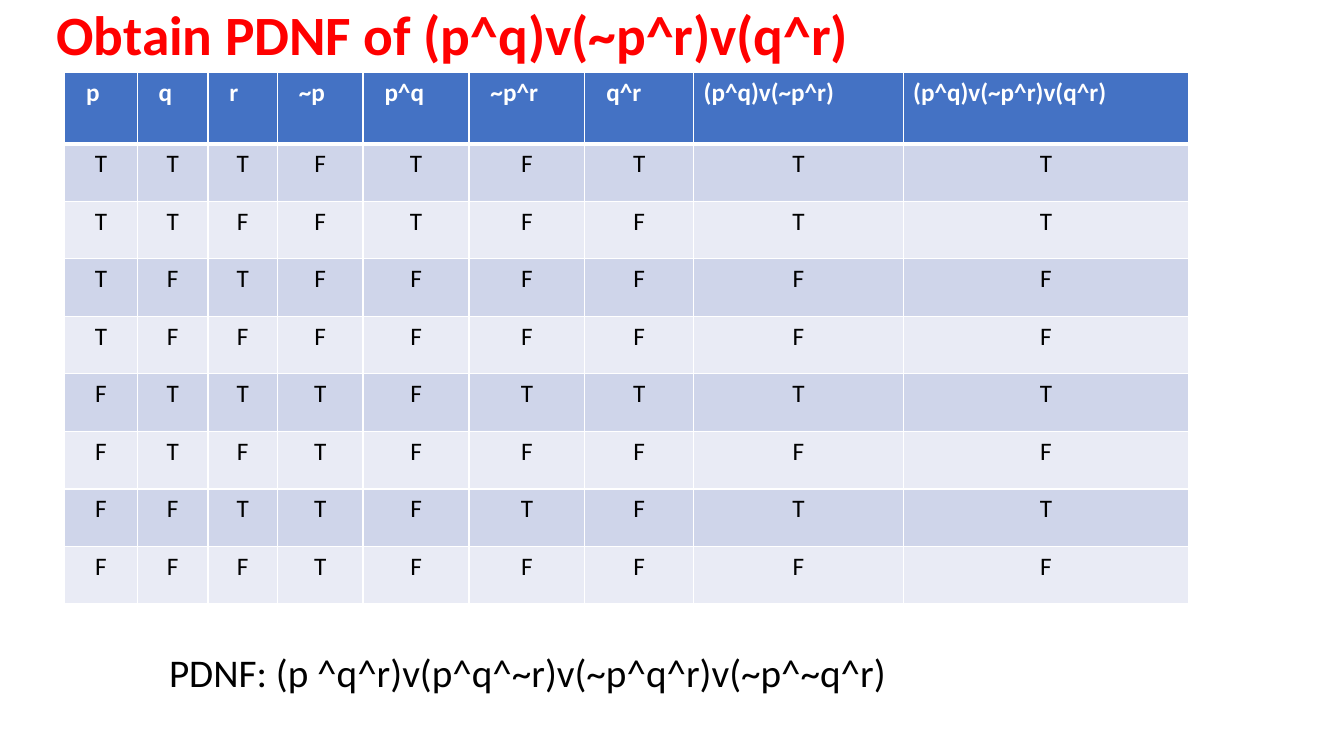
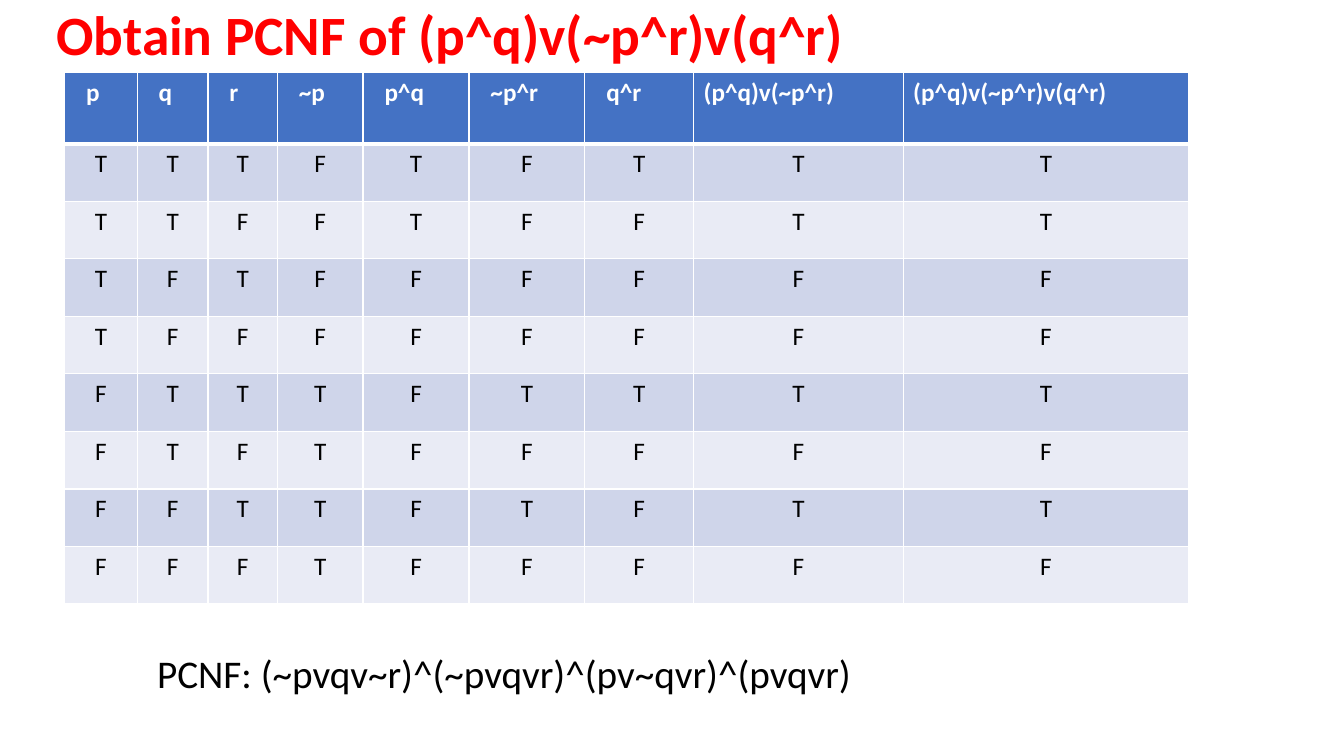
import itertools

import lxml.etree
import pptx
import pptx.dml.color
import pptx.enum.text
import pptx.oxml.ns
import pptx.util

Cm, Pt = pptx.util.Cm, pptx.util.Pt
RGB = pptx.dml.color.RGBColor.from_string
ALIGN = pptx.enum.text.PP_ALIGN
ANCHOR = pptx.enum.text.MSO_ANCHOR
qn = pptx.oxml.ns.qn


class Theme:
    """Colours, type and line widths shared by the slides."""
    header_fill = "4472C4"
    band_fills = ("CFD5EA", "E9EBF5")
    rule = "FFFFFF"
    thin, thick = Pt(1), Pt(3)
    title = {"name": "Calibri", "size": Pt(39.6), "bold": True, "color": "FF0000"}
    header = {"name": "Calibri", "size": Pt(18), "bold": True, "color": "FFFFFF"}
    body = {"name": "Calibri", "size": Pt(18), "bold": False, "color": "000000"}
    answer = {"name": "Calibri", "size": Pt(28), "bold": False, "color": "000000"}


# Boxes in cm: left, top, width, height
TITLE_BOX = (1.17, 0.25, 29.21, 1.4)
TABLE_BOX = (1.63, 1.83, 28.32, 13.39)

HEADER_HEIGHT = 1.79
HEADER_INDENT = 0.54

# Heading, column width in cm, truth function
COLUMNS = [
    ("p", 1.83, lambda p, q, r: p),
    ("q", 1.78, lambda p, q, r: q),
    ("r", 1.75, lambda p, q, r: r),
    ("~p", 2.16, lambda p, q, r: not p),
    ("p^q", 2.67, lambda p, q, r: p and q),
    ("~p^r", 2.92, lambda p, q, r: not p and r),
    ("q^r", 2.74, lambda p, q, r: q and r),
    ("(p^q)v(~p^r)", 5.28, lambda p, q, r: p and q or not p and r),
    ("(p^q)v(~p^r)v(q^r)", 7.2,
     lambda p, q, r: p and q or not p and r or q and r),
]
FORMULA = COLUMNS[-1][0]

# Normal form, its expression, box of the answer line
NORMAL_FORMS = [
    ("PDNF", "(p ^q^r)v(p^q^~r)v(~p^q^r)v(~p^~q^r)", (4.01, 16.21, 24.13, 1.45)),
    ("PCNF", "(~pvqv~r)^(~pvqvr)^(pv~qvr)^(pvqvr)", (3.71, 16.23, 24.13, 1.45)),
]


def write(paragraph, text, look):
    """Add one run whose font takes the given format values."""
    run = paragraph.add_run()
    run.text = text
    for key, value in look.items():
        if key == "color":
            run.font.color.rgb = RGB(value)
        else:
            setattr(run.font, key, value)


def add_line(slide, box, text, look, anchor=ANCHOR.TOP, spacing=1.0):
    """Place one line of text in the box."""
    frame = slide.shapes.add_textbox(*map(Cm, box)).text_frame
    frame.word_wrap = True
    frame.vertical_anchor = anchor
    frame.paragraphs[0].line_spacing = spacing
    write(frame.paragraphs[0], text, look)


def set_borders(cell, top, bottom):
    """Draw the four rules of a cell; the sides are always thin."""
    properties = cell._tc.get_or_add_tcPr()
    widths = {"a:lnL": Theme.thin, "a:lnR": Theme.thin, "a:lnT": top, "a:lnB": bottom}
    for tag, width in widths.items():
        line = lxml.etree.SubElement(properties, qn(tag), w=str(int(width)))
        fill = lxml.etree.SubElement(line, qn("a:solidFill"))
        lxml.etree.SubElement(fill, qn("a:srgbClr"), val=Theme.rule)


def fill_cell(cell, text, look, fill, align, top, bottom):
    set_borders(cell, top, bottom)
    cell.fill.solid()
    cell.fill.fore_color.rgb = RGB(fill)
    paragraph = cell.text_frame.paragraphs[0]
    paragraph.alignment = align
    write(paragraph, text, look)


def add_truth_table(slide, box):
    """Place the header row and one row for each valuation of p, q, r."""
    valuations = list(itertools.product((True, False), repeat=3))
    table = slide.shapes.add_table(
        len(valuations) + 1, len(COLUMNS), *map(Cm, box)).table
    table.horz_banding = False

    # Row heights
    row_height = (box[3] - HEADER_HEIGHT) / len(valuations)
    for index, row in enumerate(table.rows):
        row.height = Cm(row_height if index else HEADER_HEIGHT)

    for col, (heading, width, truth) in enumerate(COLUMNS):
        table.columns[col].width = Cm(width)

        # Header: short headings are indented
        header = table.cell(0, col)
        fill_cell(header, heading, Theme.header, Theme.header_fill,
                  ALIGN.LEFT, Theme.thin, Theme.thick)
        if not heading.startswith("("):
            header.margin_left = Cm(HEADER_INDENT)

        # Truth values
        for index, valuation in enumerate(valuations):
            fill_cell(table.cell(index + 1, col), "T" if truth(*valuation) else "F",
                      Theme.body, Theme.band_fills[index % 2], ALIGN.CENTER,
                      Theme.thin if index else Theme.thick, Theme.thin)


def add_normal_form_slide(deck, form, expression, answer_box):
    slide = deck.slides.add_slide(deck.slide_layouts[6])
    add_line(slide, TITLE_BOX, f"Obtain {form} of {FORMULA}", Theme.title,
             ANCHOR.MIDDLE, 0.9)
    add_truth_table(slide, TABLE_BOX)
    add_line(slide, answer_box, f"{form}: {expression}", Theme.answer)


def main():
    deck = pptx.Presentation()
    deck.slide_width, deck.slide_height = Cm(33.87), Cm(19.05)
    for normal_form in NORMAL_FORMS:
        add_normal_form_slide(deck, *normal_form)
    deck.save("out.pptx")


if __name__ == "__main__":
    main()
